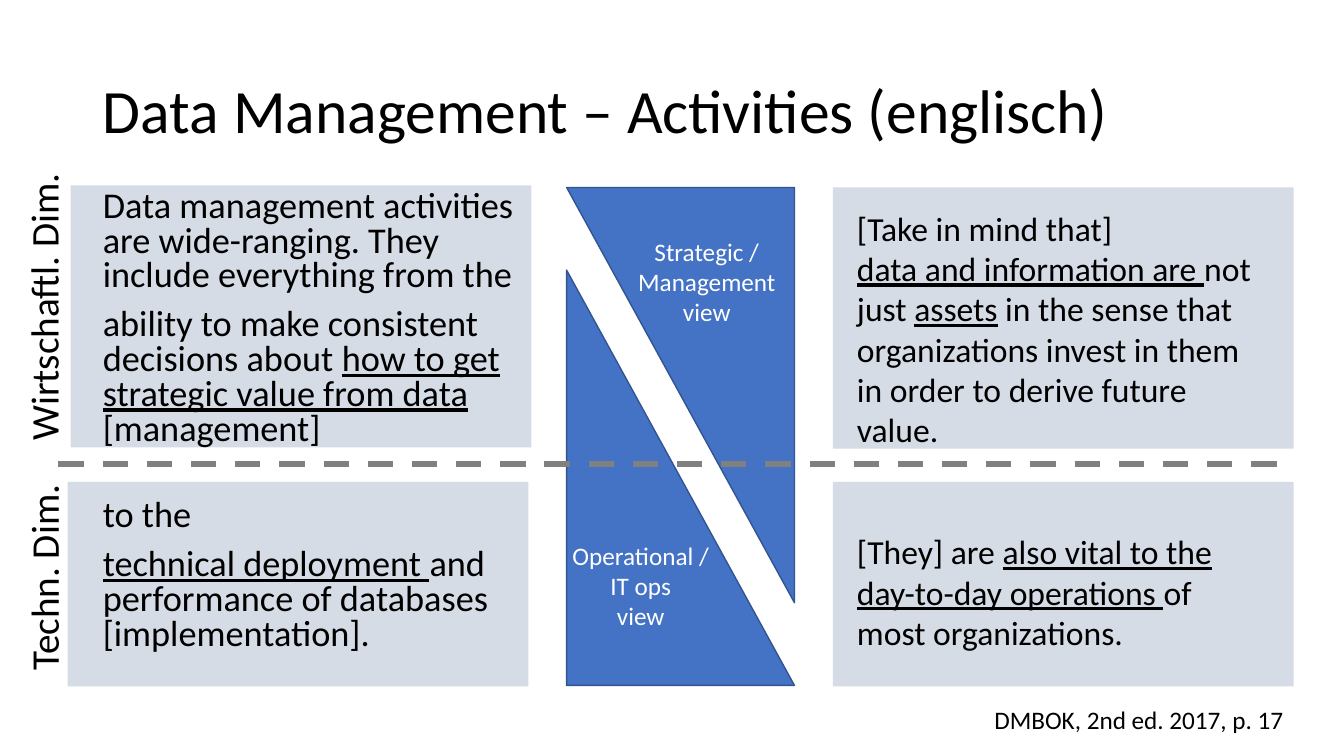
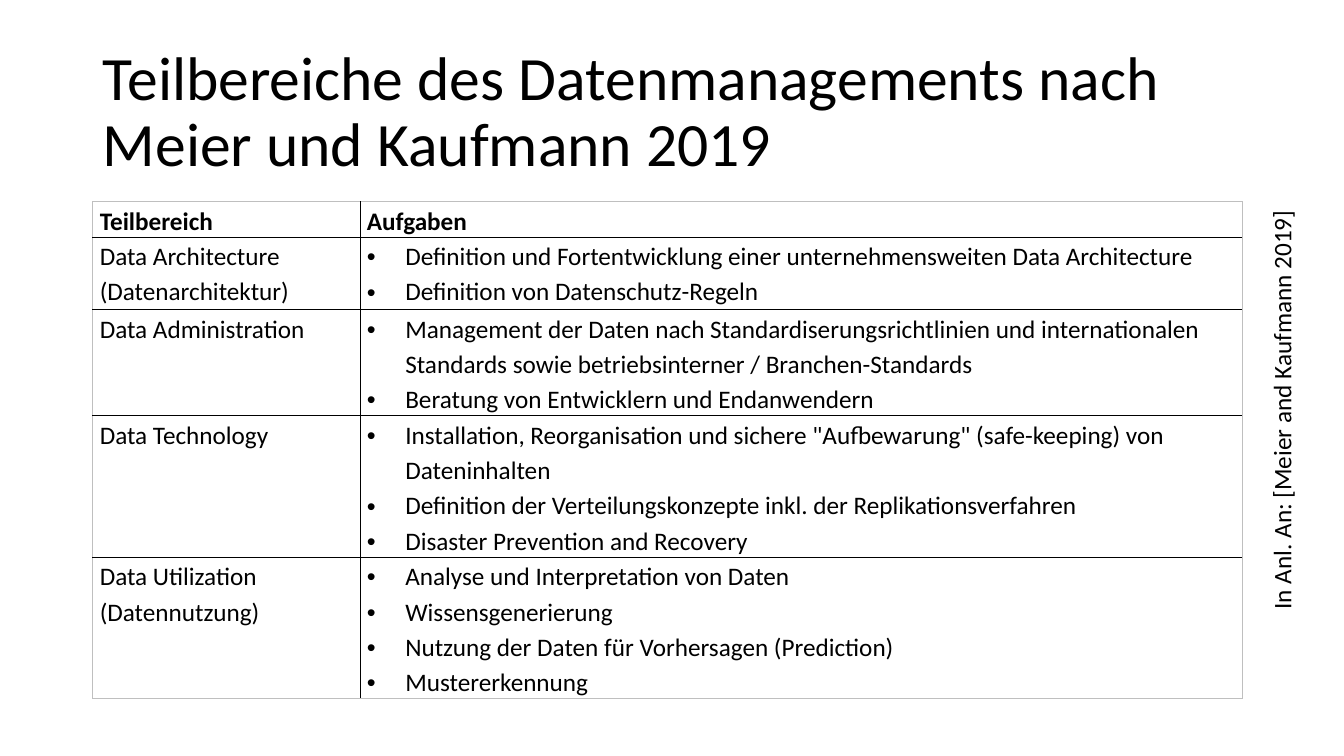
from dataclasses import dataclass

from lxml import etree
from pptx import Presentation
from pptx.dml.color import RGBColor
from pptx.enum.dml import MSO_LINE
from pptx.enum.shapes import MSO_CONNECTOR, MSO_SHAPE
from pptx.enum.text import MSO_ANCHOR, MSO_AUTO_SIZE, PP_ALIGN
from pptx.oxml.ns import qn
from pptx.util import Inches, Pt

FONT = "Calibri"
BLACK, WHITE = "000000", "FFFFFF"
PANEL_FILL, TRIANGLE_FILL, TRIANGLE_LINE = "D6DCE5", "4472C4", "325491"
DIVIDER_GRAY, FRAME_GRAY = "808080", "BFBFBF"
LEFT, CENTER, RIGHT = PP_ALIGN.LEFT, PP_ALIGN.CENTER, PP_ALIGN.RIGHT
TOP, MIDDLE = MSO_ANCHOR.TOP, MSO_ANCHOR.MIDDLE
RECTANGLE, TRIANGLE = MSO_SHAPE.RECTANGLE, MSO_SHAPE.RIGHT_TRIANGLE
STRAIGHT, DASH, NO_AUTOFIT = MSO_CONNECTOR.STRAIGHT, MSO_LINE.DASH, MSO_AUTO_SIZE.NONE
UNDERLINE_MARK = "_"
TITLE_ONLY = 5


@dataclass(frozen=True)
class TextStyle:
    size: float
    color: str = BLACK
    bold: bool = False
    align: PP_ALIGN = LEFT
    line_spacing: float = 1.0
    space_before: float = 0


@dataclass(frozen=True)
class Box:
    left: float
    top: float
    width: float
    height: float

    def lengths(self) -> tuple:
        return tuple(Inches(n) for n in (self.left, self.top, self.width, self.height))


@dataclass(frozen=True)
class Panel:
    box: Box
    margins: tuple[float, float, float, float]
    style: TextStyle
    paragraphs: list[str]


@dataclass(frozen=True)
class View:
    triangle_top: float
    rotation: int
    text_box: Box
    lines: list[str]


@dataclass(frozen=True)
class Subarea:
    height: float
    name: list[str]
    tasks: list[str]


TITLE_BOX = Box(0.92, 0.4, 11.5, 1.45)
TITLE_STYLE = TextStyle(44, line_spacing=0.9)
LEFT_STYLE = TextStyle(25.9, line_spacing=0.8, space_before=10)
RIGHT_STYLE = TextStyle(24)
VIEW_STYLE = TextStyle(18, WHITE, align=CENTER)
SOURCE_STYLE = TextStyle(18, align=RIGHT)
DIMENSION_STYLE = TextStyle(28)
CELL_STYLE = TextStyle(18, line_spacing=1.15)
HEADER_STYLE = TextStyle(18, bold=True, line_spacing=1.15)

# Underlined passages stand between underscores.
PANELS = [
    Panel(Box(0.7, 1.84, 4.57, 2.6), (0.32, 0.05, 0.05, 0), LEFT_STYLE, [
        "Data management activities are wide-ranging. They include everything from the",
        "ability to make consistent decisions about "
        "_how to get strategic value from data _[management]"]),
    Panel(Box(0.67, 4.78, 4.57, 2.03), (0.35, 0.18, 0.02, 0), LEFT_STYLE, [
        "to the",
        "_technical deployment _and performance of databases [implementation]."]),
    Panel(Box(8.26, 1.86, 4.57, 2.59), (0.24, 0.2, 0.27, 0), RIGHT_STYLE, [
        "[Take in mind that]",
        "_data and information are _not just _assets_ in the sense that "
        "organizations invest in them in order to derive future value."]),
    Panel(Box(8.26, 4.78, 4.57, 2.03), (0.24, 0.49, 0.27, 0), RIGHT_STYLE, [
        "[They] are _also vital to the day-to-day operations _of most organizations."]),
]

VIEWS = [
    View(2.68, 0, Box(5.57, 5.31, 1.57, 1.01), ["Operational /", "IT ops", "view"]),
    View(1.86, 180, Box(6.22, 2.29, 1.58, 1.01), ["Strategic /", "Management", "view"]),
]

SUBAREAS = [
    Subarea(0.72, ["Data Architecture", "(Datenarchitektur)"], [
        "Definition und Fortentwicklung einer unternehmensweiten Data Architecture",
        "Definition von Datenschutz-Regeln"]),
    Subarea(1.05, ["Data Administration"], [
        "Management der Daten nach Standardiserungsrichtlinien und internationalen "
        "Standards sowie betriebsinterner / Branchen-Standards",
        "Beratung von Entwicklern und Endanwendern"]),
    Subarea(1.4, ["Data Technology"], [
        'Installation, Reorganisation und sichere "Aufbewarung" (safe-keeping) von '
        "Dateninhalten",
        "Definition der Verteilungskonzepte inkl. der Replikationsverfahren",
        "Disaster Prevention and Recovery"]),
    Subarea(1.4, ["Data Utilization (Datennutzung)"], [
        "Analyse und Interpretation von Daten",
        "Wissensgenerierung",
        "Nutzung der Daten für Vorhersagen (Prediction)",
        "Mustererkennung"]),
]
HEADER_HEIGHT = 0.35
COLUMN_WIDTHS = (2.65, 8.75)


def rgb(color: str) -> RGBColor:
    return RGBColor.from_string(color)


def write(text_frame, paragraphs: list[str], style: TextStyle) -> None:
    """Fill the frame, underlining what stands between underscores."""
    text_frame.text = "\n".join(paragraphs)
    for index, paragraph in enumerate(text_frame.paragraphs):
        parts = paragraph.text.split(UNDERLINE_MARK)
        paragraph.text = parts[0]
        for position, part in enumerate(parts[1:], start=1):
            run = paragraph.add_run()
            run.text = part
            run.font.underline = position % 2 == 1
        paragraph.alignment = style.align
        paragraph.line_spacing = style.line_spacing
        paragraph.space_before = Pt(style.space_before if index else 0)
        for run in paragraph.runs:
            run.font.name = FONT
            run.font.size = Pt(style.size)
            run.font.bold = style.bold
            run.font.color.rgb = rgb(style.color)


def set_margins(target, margins: tuple[float, float, float, float]) -> None:
    """Set left, top, right and bottom margins of a text frame or cell."""
    for side, margin in zip(("left", "top", "right", "bottom"), margins):
        setattr(target, f"margin_{side}", Inches(margin))


def add_titled_slide(presentation, title_text: str):
    slide = presentation.slides.add_slide(presentation.slide_layouts[TITLE_ONLY])
    title = slide.shapes.title
    title.left, title.top, title.width, title.height = TITLE_BOX.lengths()
    title.text_frame.auto_size = NO_AUTOFIT
    title.text_frame.vertical_anchor = MIDDLE
    write(title.text_frame, [title_text], TITLE_STYLE)
    return slide


def add_filled_shape(slide, kind: MSO_SHAPE, box: Box, fill: str, line: str | None = None):
    shape = slide.shapes.add_shape(kind, *box.lengths())
    shape.shadow.inherit = False
    shape.fill.solid()
    shape.fill.fore_color.rgb = rgb(fill)
    if line is None:
        shape.line.fill.background()
    else:
        shape.line.color.rgb = rgb(line)
        shape.line.width = Pt(1)
    return shape


def add_text(slide, box: Box, paragraphs: list[str], style: TextStyle):
    shape = slide.shapes.add_textbox(*box.lengths())
    shape.text_frame.word_wrap = False
    write(shape.text_frame, paragraphs, style)
    return shape


def add_upward_text(slide, center: float, top: float, length: float, height: float,
                    text: str, style: TextStyle) -> None:
    """Add a line that reads from bottom to top around a vertical axis."""
    box = Box(center - length / 2, top + (length - height) / 2, length, height)
    add_text(slide, box, [text], style).rotation = 270


def add_panel(slide, panel: Panel) -> None:
    text_frame = add_filled_shape(slide, RECTANGLE, panel.box, PANEL_FILL).text_frame
    text_frame.word_wrap = True
    text_frame.vertical_anchor = TOP
    set_margins(text_frame, panel.margins)
    write(text_frame, panel.paragraphs, panel.style)


def add_divider(slide, left: float, right: float, y: float) -> None:
    line = slide.shapes.add_connector(
        STRAIGHT, Inches(left), Inches(y), Inches(right), Inches(y))
    line.line.color.rgb = rgb(DIVIDER_GRAY)
    line.line.width = Pt(4.5)
    line.line.dash_style = DASH
    etree.SubElement(line._element.spPr, qn("a:effectLst"))


def add_bullet(paragraph) -> None:
    properties = paragraph._p.get_or_add_pPr()
    indent = Inches(0.38)
    properties.set("marL", str(indent))
    properties.set("indent", str(-indent))
    etree.SubElement(properties, qn("a:buFont")).set("typeface", "Arial")
    etree.SubElement(properties, qn("a:buChar")).set("char", "•")


def set_borders(cell, colors: dict[str, str]) -> None:
    """Draw the cell's edges, keyed L, R, T and B."""
    properties = cell._tc.get_or_add_tcPr()
    for edge, color in colors.items():
        line = etree.SubElement(properties, qn(f"a:ln{edge}"), w=str(Pt(0.5)))
        fill = etree.SubElement(line, qn("a:solidFill"))
        etree.SubElement(fill, qn("a:srgbClr")).set("val", color)


def add_subarea_table(slide) -> None:
    heights = [HEADER_HEIGHT] + [subarea.height for subarea in SUBAREAS]
    contents = [(["Teilbereich"], ["Aufgaben"])]
    contents += [(subarea.name, subarea.tasks) for subarea in SUBAREAS]
    box = Box(0.92, 2, sum(COLUMN_WIDTHS), sum(heights))
    table = slide.shapes.add_table(
        len(heights), len(COLUMN_WIDTHS), *box.lengths()).table
    table.first_row = table.horz_banding = False
    for column, width in zip(table.columns, COLUMN_WIDTHS):
        column.width = Inches(width)
    last_row, last_column = len(heights) - 1, len(COLUMN_WIDTHS) - 1
    for row, (height, texts) in enumerate(zip(heights, contents)):
        table.rows[row].height = Inches(height)
        for column, paragraphs in enumerate(texts):
            cell = table.cell(row, column)
            set_margins(cell, (0.07, 0, 0.07, 0))
            outer = {"L": column == 0, "R": column == last_column,
                     "T": row == 0, "B": row == last_row}
            set_borders(cell, {edge: FRAME_GRAY if is_outer else BLACK
                               for edge, is_outer in outer.items()})
            cell.fill.background()
            write(cell.text_frame, paragraphs, CELL_STYLE if row else HEADER_STYLE)
            if row and column:
                for paragraph in cell.text_frame.paragraphs:
                    add_bullet(paragraph)


def build_activities_slide(presentation) -> None:
    slide = add_titled_slide(presentation, "Data Management – Activities (englisch)")
    for panel in PANELS:
        add_panel(slide, panel)
    for view in VIEWS:
        box = Box(5.62, view.triangle_top, 2.26, 4.12)
        triangle = add_filled_shape(slide, TRIANGLE, box, TRIANGLE_FILL, TRIANGLE_LINE)
        triangle.rotation = view.rotation
    for view in VIEWS:
        add_text(slide, view.text_box, view.lines, VIEW_STYLE)
    add_divider(slide, 0.58, 12.7, 4.6)
    add_text(slide, Box(9.72, 6.94, 3.11, 0.4), ["DMBOK, 2nd ed. 2017, p. 17"], SOURCE_STYLE)
    add_upward_text(slide, 0.43, 1.27, 3.2, 0.57, "Wirtschaftl. Dim.", DIMENSION_STYLE)
    add_upward_text(slide, 0.43, 4.5, 2.25, 0.57, "Techn. Dim.", DIMENSION_STYLE)


def build_subareas_slide(presentation) -> None:
    slide = add_titled_slide(
        presentation, "Teilbereiche des Datenmanagements nach Meier und Kaufmann 2019")
    add_subarea_table(slide)
    add_upward_text(slide, 12.71, 1.99, 5, 0.4,
                    "In Anl. An: [Meier and Kaufmann 2019]", SOURCE_STYLE)


def main() -> None:
    presentation = Presentation()
    presentation.slide_width, presentation.slide_height = Inches(13.33), Inches(7.5)
    build_activities_slide(presentation)
    build_subareas_slide(presentation)
    presentation.save("out.pptx")


if __name__ == "__main__":
    main()
